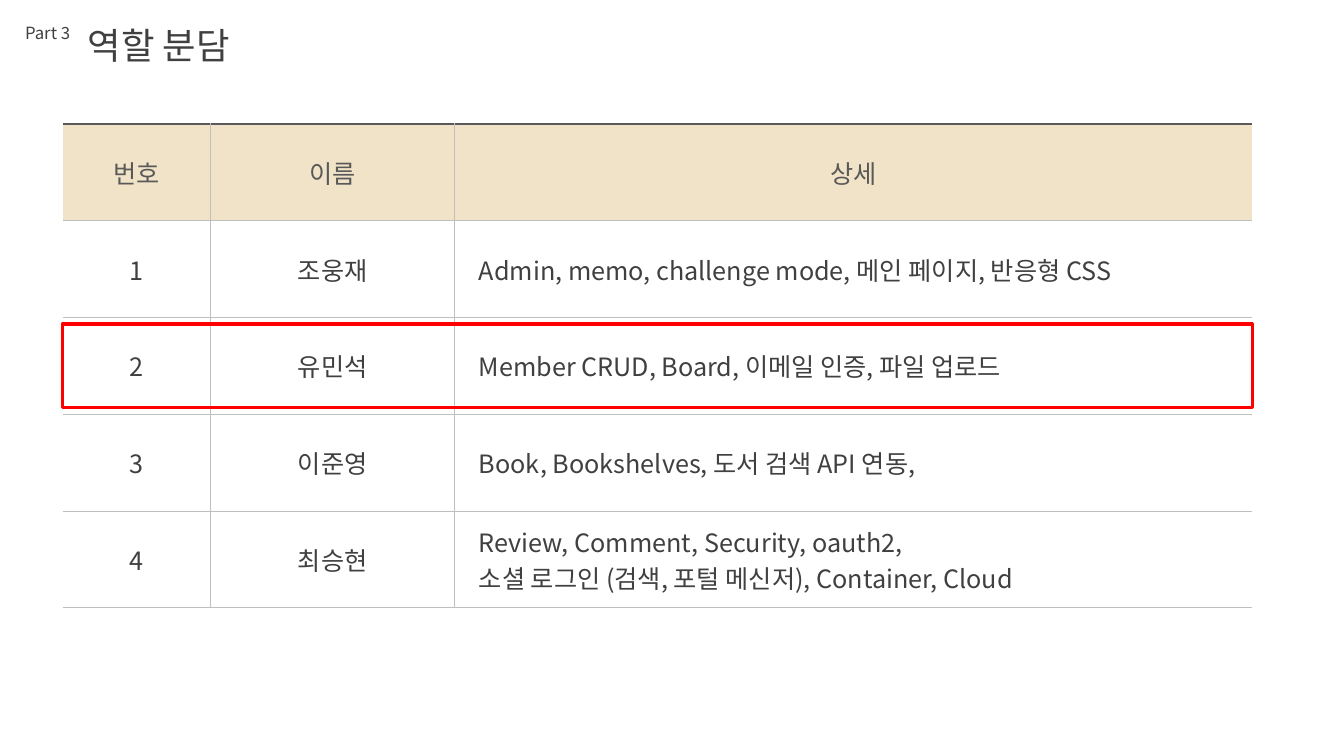
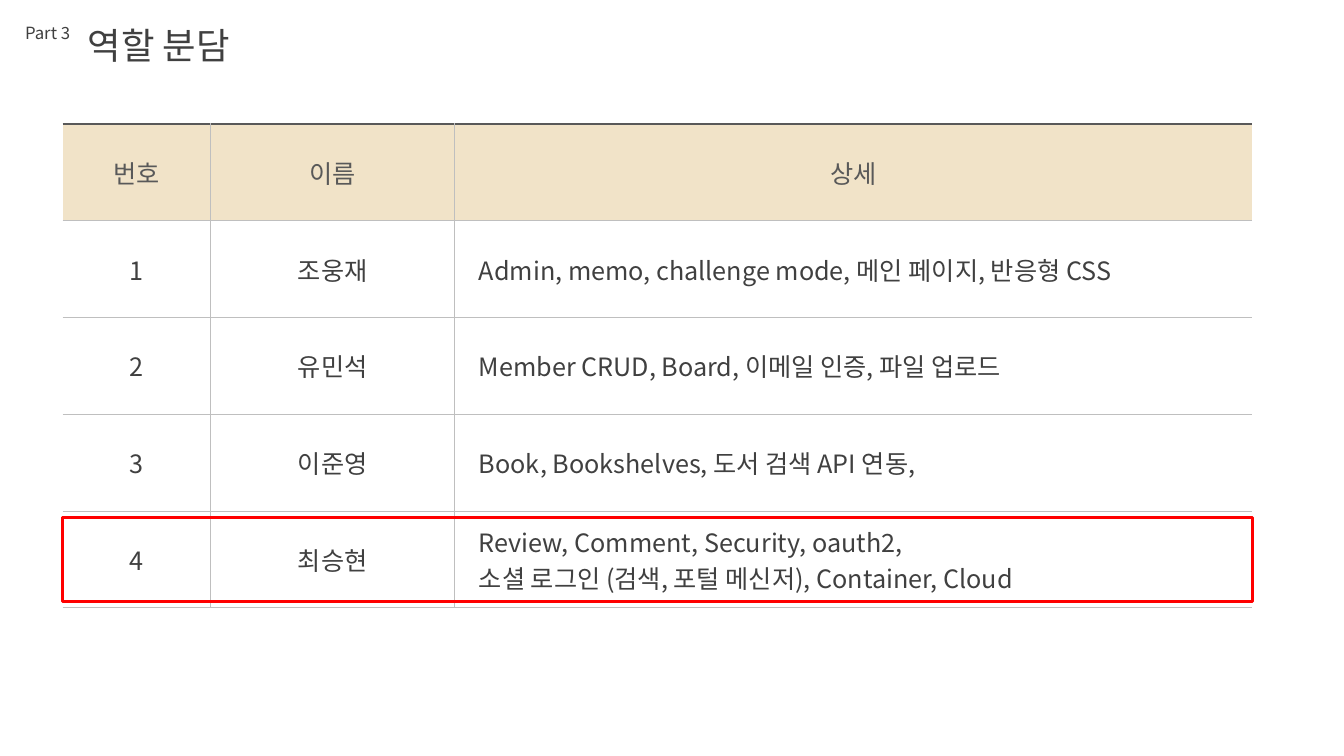
from lxml.etree import SubElement
from pptx import Presentation
from pptx.dml.color import RGBColor
from pptx.enum.shapes import MSO_SHAPE
from pptx.enum.text import MSO_ANCHOR, PP_ALIGN
from pptx.oxml.ns import qn
from pptx.util import Inches, Pt

FONT = "Noto Sans CJK KR"
TEXT, HEAD, RULE = "404040", "595959", "BFBFBF"
SAND, WHITE, RED = "F1E3C8", "FFFFFF", "FF0000"
LEFT, TOP, ROW = 0.62, 1.23, 0.96
COLS = [1.47, 2.42, 7.91]
MARK = 0.83
ROWS = [
    ["번호", "이름", "상세"],
    ["1", "조웅재", "Admin, memo, challenge mode, 메인 페이지, 반응형 CSS"],
    ["2", "유민석", "Member CRUD, Board, 이메일 인증, 파일 업로드"],
    ["3", "이준영", "Book, Bookshelves, 도서 검색 API 연동,"],
    ["4", "최승현", "Review, Comment, Security, oauth2,\n"
                  "소셜 로그인 (검색, 포털 메신저), Container, Cloud"],
]


def paint(target, color):
    """Give a fill or a font a solid colour."""
    if hasattr(target, "solid"):
        target.solid()
        target = target.fore_color
    else:
        target = target.color
    target.rgb = RGBColor.from_string(color)


def style(frame, size, color, align=PP_ALIGN.LEFT):
    for para in frame.paragraphs:
        para.alignment = align
        for run in para.runs:
            run.font.size = Pt(size)
            run.font.name = FONT
            paint(run.font, color)
            SubElement(run.font._element, qn("a:ea"), typeface=FONT)


def set_label(shape, text, size):
    frame = shape.text_frame
    frame.text = text
    frame.word_wrap = False
    frame.vertical_anchor = MSO_ANCHOR.MIDDLE
    frame.margin_top = frame.margin_bottom = 0
    style(frame, size, TEXT)


def add_header(slide, part, title):
    box = slide.shapes.add_textbox(
        Inches(0.15), Inches(0.18), Inches(0.66), Inches(0.3))
    set_label(box, part, 12)
    head = slide.shapes.title
    head.left, head.top = Inches(0.77), Inches(0.18)
    head.width, head.height = Inches(1.79), Inches(0.54)
    set_label(head, title, 26)


def set_edge(cell, side, color=None, width=0.75):
    """Draw one cell border, or hide it when no colour is given."""
    line = SubElement(cell._tc.get_or_add_tcPr(), qn(f"a:ln{side}"),
                      w=str(Pt(width)))
    if color:
        fill = SubElement(line, qn("a:solidFill"))
        SubElement(fill, qn("a:srgbClr"), val=color)
    else:
        SubElement(line, qn("a:noFill"))


def fill_cell(cell, text, row, col):
    header, last = row == 0, col == len(COLS) - 1
    cell.text_frame.text = text
    cell.vertical_anchor = MSO_ANCHOR.MIDDLE
    cell.margin_left = cell.margin_right = Inches(0.05)
    cell.margin_top = cell.margin_bottom = Inches(0.05)
    detail = last and not header
    style(cell.text_frame, 18, HEAD if header else TEXT,
          PP_ALIGN.LEFT if detail else PP_ALIGN.CENTER)
    if detail:
        for para in cell.text_frame.paragraphs:
            props = para._p.get_or_add_pPr()
            props.set("marL", str(Inches(0.19)))
            props.set("indent", "0")
    set_edge(cell, "L", RULE if col else None)
    set_edge(cell, "R", None if last else RULE)
    if header:
        set_edge(cell, "T", HEAD, 2.25)
    else:
        set_edge(cell, "T", RULE)
    set_edge(cell, "B", RULE)
    paint(cell.fill, SAND if header else WHITE)


def add_roles(slide):
    table = slide.shapes.add_table(
        len(ROWS), len(COLS), Inches(LEFT), Inches(TOP),
        Inches(sum(COLS)), Inches(ROW * len(ROWS))).table
    table.first_row = table.horz_banding = False
    for col, width in zip(table.columns, COLS):
        col.width = Inches(width)
    for i, row in enumerate(ROWS):
        table.rows[i].height = Inches(ROW)
        for j, text in enumerate(row):
            fill_cell(table.cell(i, j), text, i, j)


def mark_row(slide, row):
    """Frame one table row in red, centred on its height."""
    top = TOP + row * ROW + (ROW - MARK) / 2
    frame = slide.shapes.add_shape(
        MSO_SHAPE.RECTANGLE, Inches(LEFT), Inches(top),
        Inches(sum(COLS)), Inches(MARK))
    frame.shadow.inherit = False
    frame.fill.background()
    paint(frame.line.fill, RED)
    frame.line.width = Pt(2.25)


def main():
    deck = Presentation()
    deck.slide_width, deck.slide_height = Inches(13.33), Inches(7.5)
    for row in (2, 4):
        slide = deck.slides.add_slide(deck.slide_layouts[5])
        add_header(slide, "Part 3", "역할 분담")
        add_roles(slide)
        mark_row(slide, row)
    deck.save("out.pptx")


if __name__ == "__main__":
    main()
